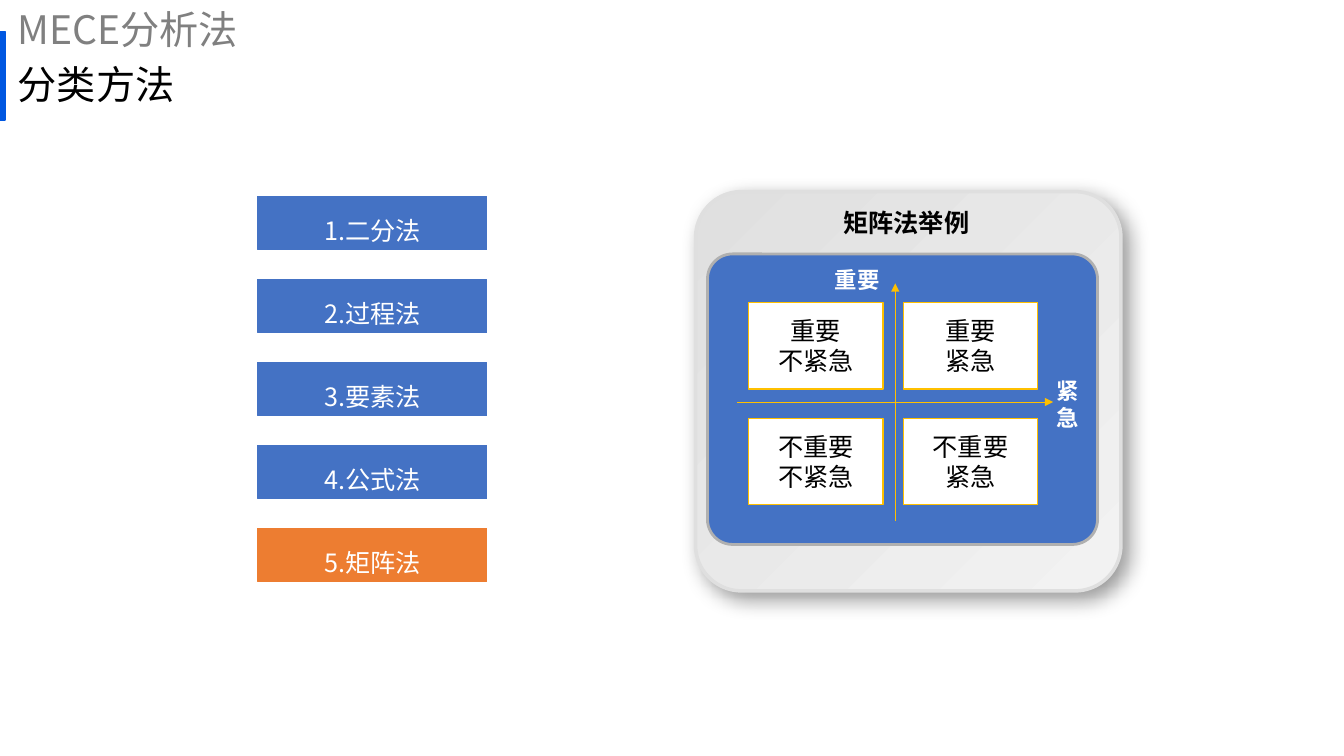
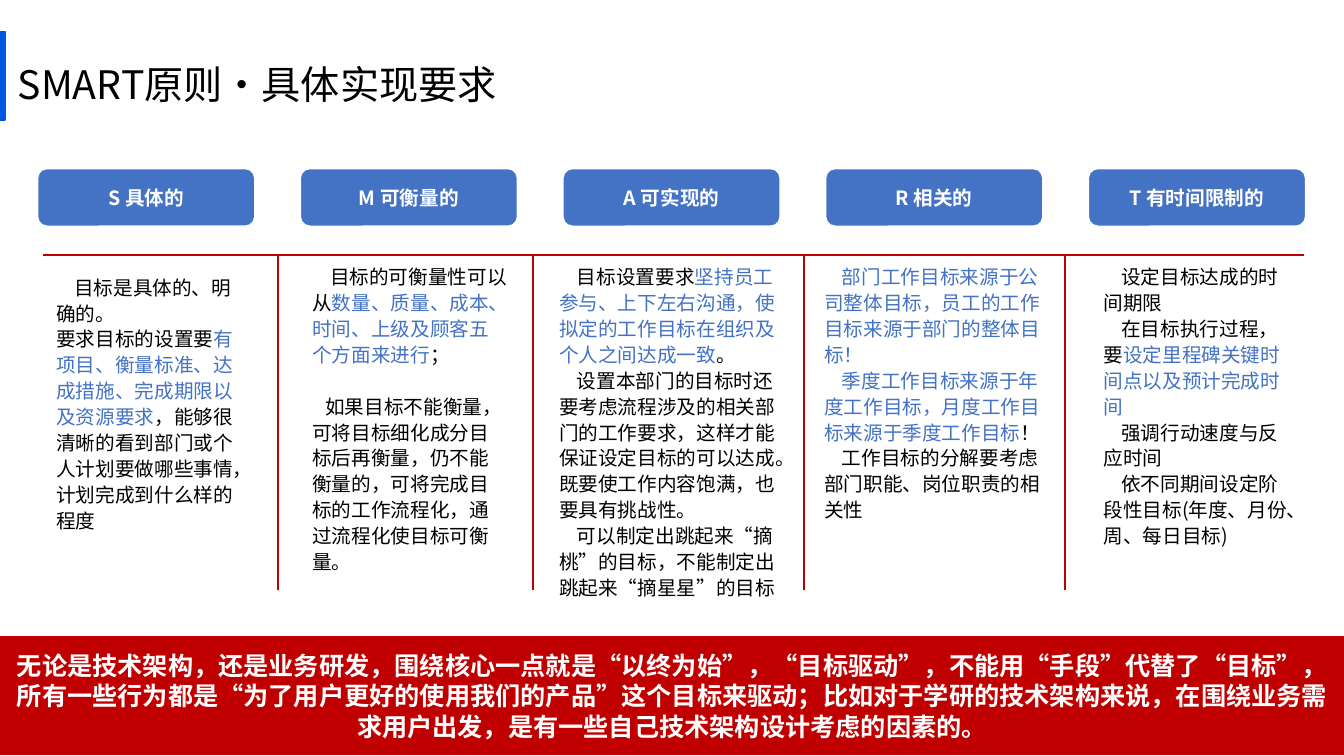
from dataclasses import dataclass

from lxml import etree
from pptx import Presentation
from pptx.dml.color import RGBColor
from pptx.enum.shapes import MSO_CONNECTOR, MSO_SHAPE
from pptx.enum.text import MSO_ANCHOR, PP_ALIGN
from pptx.oxml.ns import qn
from pptx.util import Cm, Pt

RECT, ROUNDED = MSO_SHAPE.RECTANGLE, MSO_SHAPE.ROUNDED_RECTANGLE
STRAIGHT = MSO_CONNECTOR.STRAIGHT
LEFT, CENTER = PP_ALIGN.LEFT, PP_ALIGN.CENTER
TOP, MIDDLE = MSO_ANCHOR.TOP, MSO_ANCHOR.MIDDLE


@dataclass(frozen=True)
class Theme:
    font: str = "Noto Sans CJK SC"
    cell_font: str = "Calibri"
    black: str = "000000"
    white: str = "FFFFFF"
    muted: str = "808080"
    marker: str = "0057E1"
    blue: str = "4472C4"
    orange: str = "ED7D31"
    gold: str = "FFC000"
    red: str = "C00000"
    card_dark: str = "E0E0E0"
    card_light: str = "F2F2F2"
    card_edge: str = "DFDFDF"
    panel_edge: str = "B0B0B0"
    title_size: float = 28
    large_size: float = 18
    axis_size: float = 16
    body_size: float = 14


THEME = Theme()
SLIDE_WIDTH, SLIDE_HEIGHT = 33.87, 19.05


@dataclass(frozen=True)
class Passage:
    segments: tuple
    indent: float = 0.45
    before: float = 0


METHODS = ("1.二分法", "2.过程法", "3.要素法", "4.公式法", "5.矩阵法")
QUADRANTS = (
    ("重要\n不紧急", "重要\n紧急"),
    ("不重要\n不紧急", "不重要\n紧急"),
)
PRINCIPLES = (
    ("S 具体的", (1.17, 6.76, 5.23, 6.83), (
        Passage(("目标是具体的、明确的。",)),
        Passage(("要求目标的设置要",
                 "有项目、衡量标准、达成措施、完成期限以及资源要求",
                 "，能够很清晰的看到部门或个人计划要做哪些事情，计划完成到什么样的程度"),
                indent=0),
    )),
    ("M 可衡量的", (7.62, 6.5, 5.41, 8.13), (
        Passage(("目标的可衡量性可以从",
                 "数量、质量、成本、时间、上级及顾客五个方面来进行", "；")),
        Passage(("如果目标不能衡量，可将目标细化成分目标后再衡量，仍不能衡量的，"
                 "可将完成目标的工作流程化，通过流程化使目标可衡量。",),
                indent=0.33, before=18.5),
    )),
    ("A 可实现的", (13.84, 6.5, 6.2, 8.79), (
        Passage(("目标设置要求",
                 "坚持员工参与、上下左右沟通，使拟定的工作目标在组织及个人之间达成一致",
                 "。")),
        Passage(("设置本部门的目标时还要考虑流程涉及的相关部门的工作要求，"
                 "这样才能保证设定目标的可以达成。既要使工作内容饱满，也要具有挑战性。",)),
        Passage(("可以制定出跳起来“摘桃”的目标，不能制定出跳起来“摘星星”的目标",)),
    )),
    ("R 相关的", (20.52, 6.5, 6.07, 6.83), (
        Passage(("", "部门工作目标来源于公司整体目标，员工的工作目标来源于部门的整体目标！")),
        Passage(("", "季度工作目标来源于年度工作目标，月度工作目标来源于季度工作目标", "！")),
        Passage(("工作目标的分解要考虑部门职能、岗位职责的相关性",)),
    )),
    ("T 有时间限制的", (27.56, 6.5, 5.28, 7.49), (
        Passage(("设定目标达成的时间期限",)),
        Passage(("在目标执行过程，要", "设定里程碑关键时间点以及预计完成时间")),
        Passage(("强调行动速度与反应时间",)),
        Passage(("依不同期间设定阶段性目标(年度、月份、周、每日目标)",)),
    )),
)
CONCLUSION = (
    "无论是技术架构，还是业务研发，围绕核心一点就是“以终为始”，“目标驱动”，"
    "不能用“手段”代替了“目标”，所有一些行为都是“为了用户更好的使用我们的产品”"
    "这个目标来驱动；比如对于学研的技术架构来说，在围绕业务需求用户出发，"
    "是有一些自己技术架构设计考虑的因素的。"
)


def rgb(value):
    return RGBColor.from_string(value)


def style_run(run, size, color, bold=False, latin=THEME.font):
    run.font.size = Pt(size)
    run.font.bold = bold
    run.font.color.rgb = rgb(color)
    run.font.name = latin
    east_asian = etree.SubElement(run._r.get_or_add_rPr(), qn("a:ea"))
    east_asian.set("typeface", THEME.font)


def write(shape, text, size, color, bold=False, latin=THEME.font, align=CENTER,
          anchor=MIDDLE, spacing=1.0, wrap=True, insets=(0.25, 0.13)):
    frame = shape.text_frame
    frame.text = text
    frame.word_wrap = wrap
    frame.vertical_anchor = anchor
    frame.margin_left = frame.margin_right = Cm(insets[0])
    frame.margin_top = frame.margin_bottom = Cm(insets[1])
    for paragraph in frame.paragraphs:
        paragraph.alignment = align
        paragraph.line_spacing = spacing
        for run in paragraph.runs:
            style_run(run, size, color, bold, latin)


def add_label(slide, box, text, size, color, **options):
    label = slide.shapes.add_textbox(*map(Cm, box))
    write(label, text, size, color, **options)


def add_block(slide, box, fill, edge, edge_width, kind=RECT, rounding=None):
    block = slide.shapes.add_shape(kind, *map(Cm, box))
    block.shadow.inherit = False
    block.fill.solid()
    block.fill.fore_color.rgb = rgb(fill)
    block.line.color.rgb = rgb(edge)
    block.line.width = Pt(edge_width)
    if rounding is not None:
        block.adjustments[0] = rounding
    return block


def add_line(slide, start, end, color, width, arrow=False):
    line = slide.shapes.add_connector(STRAIGHT, *map(Cm, (*start, *end)))
    line.line.color.rgb = rgb(color)
    line.line.width = Pt(width)
    if arrow:
        tail = etree.SubElement(line.line._get_or_add_ln(), qn("a:tailEnd"))
        tail.set("type", "triangle")
    etree.SubElement(line._element.spPr, qn("a:effectLst"))


def add_shaded_card(slide, box):
    card = add_block(slide, box, THEME.card_dark, THEME.card_edge, 2.5, ROUNDED, 0.115)
    card.fill.gradient()
    card.fill.gradient_angle = 315
    for stop, color, position in zip(card.fill.gradient_stops,
                                     (THEME.card_dark, THEME.card_light), (0, 1)):
        stop.color.rgb = rgb(color)
        stop.position = position
    effects = card._element.spPr.find(qn("a:effectLst"))
    shadow = etree.SubElement(effects, qn("a:outerShdw"), blurRad=str(Pt(15)),
                              dist=str(Pt(7)), dir="2700000", algn="tl",
                              rotWithShape="0")
    shade = etree.SubElement(shadow, qn("a:srgbClr"), val=THEME.black)
    etree.SubElement(shade, qn("a:alpha"), val="40000")


def add_passages(slide, box, passages):
    frame = slide.shapes.add_textbox(*map(Cm, box)).text_frame
    frame.word_wrap = True
    for index, passage in enumerate(passages):
        paragraph = frame.add_paragraph() if index else frame.paragraphs[0]
        paragraph.line_spacing = 1.1
        if passage.before:
            paragraph.space_before = Pt(passage.before)
        properties = paragraph._p.get_or_add_pPr()
        properties.set("marL", "0")
        properties.set("indent", str(Cm(passage.indent)))
        for position, segment in enumerate(passage.segments):
            if segment:
                run = paragraph.add_run()
                run.text = segment
                style_run(run, THEME.body_size,
                          THEME.blue if position % 2 else THEME.black)


def add_heading(slide, top, height, text, color):
    add_label(slide, (0.2, top, 29.2, height), text, THEME.title_size, color,
              align=LEFT, spacing=0.9)


def new_slide(deck, title):
    slide = deck.slides.add_slide(deck.slide_layouts[6])
    add_block(slide, (0, 0.79, 0.13, 2.24), THEME.marker, THEME.marker, 1)
    add_heading(slide, 1.35, 1.68, title, THEME.black)
    return slide


def add_methods(slide):
    for index, method in enumerate(METHODS):
        color = THEME.orange if method == METHODS[-1] else THEME.blue
        bar = add_block(slide, (6.5, 4.95 + index * 2.09, 5.77, 1.35), color, color, 0.75)
        write(bar, method, THEME.large_size, THEME.white, anchor=TOP, spacing=1.5,
              insets=(0.18, 0.1))


def add_matrix(slide):
    add_shaded_card(slide, (17.53, 4.83, 10.72, 10.06))
    add_block(slide, (17.83, 6.4, 9.83, 7.32), THEME.blue, THEME.panel_edge, 2,
              ROUNDED, 0.086)
    add_label(slide, (17.53, 5.13, 10.62, 0.97), "矩阵法举例", THEME.large_size,
              THEME.black, bold=True, anchor=TOP, insets=(0.2, 0.1))
    add_label(slide, (20.78, 6.58, 1.65, 0.94), "重要", THEME.axis_size, THEME.white,
              bold=True, anchor=TOP, wrap=False)
    add_label(slide, (26.31, 9.37, 1.19, 1.63), "紧急", THEME.axis_size, THEME.white,
              bold=True, anchor=TOP)
    for row, quadrants in enumerate(QUADRANTS):
        for column, quadrant in enumerate(quadrants):
            box = (18.87 + column * 3.9, 7.62 + row * 2.92, 3.38, 2.18)
            cell = add_block(slide, box, THEME.white, THEME.gold, 1)
            write(cell, quadrant, THEME.large_size, THEME.black, latin=THEME.cell_font)
    add_line(slide, (18.57, 10.13), (26.54, 10.13), THEME.gold, 0.5, arrow=True)
    add_line(slide, (22.56, 13.13), (22.56, 7.14), THEME.gold, 0.5, arrow=True)


def add_principles(slide):
    for index, (name, box, passages) in enumerate(PRINCIPLES):
        pill = add_block(slide, (0.94 + index * 6.62, 4.24, 5.49, 1.47), THEME.blue,
                         THEME.white, 1.5, ROUNDED)
        write(pill, name, THEME.body_size, THEME.white, bold=True)
        add_passages(slide, box, passages)
    rule_top = 6.43
    for divider in (7.01, 13.44, 20.27, 26.85):
        add_line(slide, (divider, rule_top), (divider, 14.86), THEME.red, 1.5)
    add_line(slide, (1.09, rule_top), (32.87, rule_top), THEME.red, 1.5)


def add_conclusion(slide):
    band = add_block(slide, (0, 16.05, SLIDE_WIDTH, 2.97), THEME.red, THEME.red, 1)
    write(band, CONCLUSION, THEME.large_size, THEME.white, bold=True)


def main():
    deck = Presentation()
    deck.slide_width, deck.slide_height = Cm(SLIDE_WIDTH), Cm(SLIDE_HEIGHT)

    classification = new_slide(deck, "分类方法")
    add_heading(classification, 0, 1.62, "MECE分析法", THEME.muted)
    add_methods(classification)
    add_matrix(classification)

    requirements = new_slide(deck, "SMART原则·具体实现要求")
    add_principles(requirements)
    add_conclusion(requirements)

    deck.save("out.pptx")


if __name__ == "__main__":
    main()
